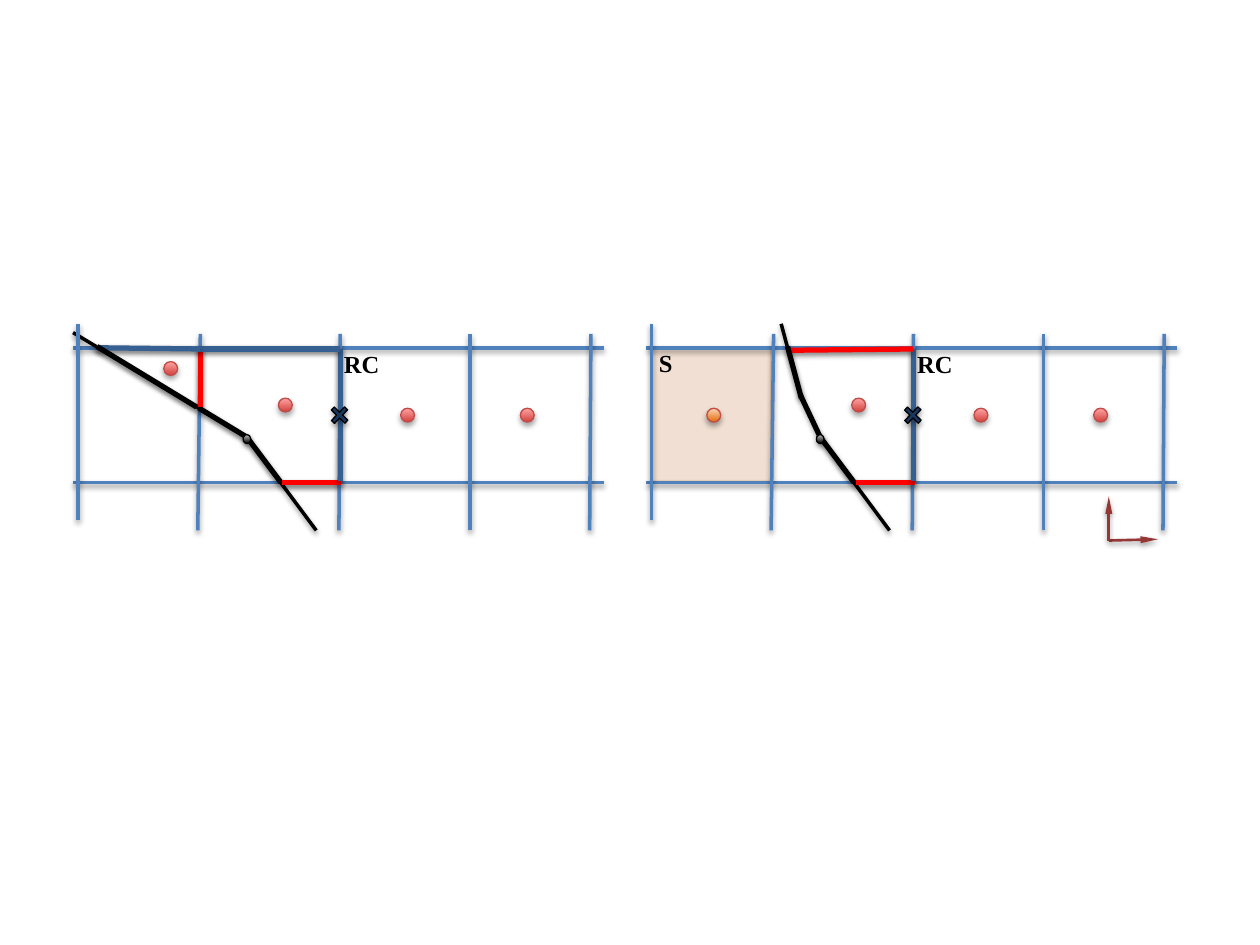
from lxml import etree
from pptx import Presentation
from pptx.dml.color import RGBColor
from pptx.enum import shapes, text
from pptx.oxml.ns import qn
from pptx.util import Inches, Pt

# Content: stroke styles as (colour, width)
STYLES = {
    "grid": ("4F81BD", 2),
    "interface": ("000000", 2),
    "cut": ("000000", 3),
    "open": ("FF0000", 3),
    "face": ("376092", 3),
    "axis": ("953735", 1.5),
}
RED = ("D1403C", "FFA6A5", 90)
BLACK = ("000000", "BDBDBD", 90)
ORANGE = ("E46C0A", "FCD5B5", 90)
PANEL_STEP = 4.55

# Strokes as (style, x1, y1, x2, y2), measured in the left panel
GRID = [("grid", 4.79, y, 0.58, y) for y in (2.76, 3.83)] + [
    ("grid", x1, 4.21, x2, 2.65)
    for x1, x2 in ((1.57, 1.59), (2.69, 2.7), (3.73, 3.73), (4.68, 4.69))
]
SHARED = [
    ("interface", 1.96, 3.47, 2.51, 4.21),
    ("grid", 0.62, 4.13, 0.62, 2.57),
    ("cut", 1.96, 3.47, 2.23, 3.83),
    ("open", 2.24, 3.83, 2.71, 3.83),
    ("face", 2.7, 3.82, 2.7, 2.77),
]
PANELS = [
    {
        "under": [("interface", 0.58, 2.64, 1.96, 3.47)],
        "over": [
            ("cut", 1.58, 3.24, 1.96, 3.47),
            ("open", 1.59, 2.76, 1.59, 3.23),
            ("face", 1.57, 2.77, 2.7, 2.77),
            ("face", 0.77, 2.76, 1.59, 2.77),
            ("cut", 0.77, 2.75, 1.56, 3.23),
        ],
        "dot": (1.3, 2.87, RED),
        "labels": [("RC", 2.73, 2.77, 0.3)],
    },
    {
        "under": [("interface", 1.65, 2.57, 1.8, 3.13)],
        "over": [
            ("cut", 1.8, 3.13, 1.96, 3.47),
            ("open", 1.72, 2.78, 2.7, 2.77),
            ("cut", 1.7, 2.75, 1.81, 3.16),
        ],
        "dot": (1.06, 3.24, ORANGE),
        "labels": [("RC", 2.73, 2.77, 0.3), ("S", 0.68, 2.76, 0.12)],
    },
]
CENTRES = [(2.21, 3.16), (3.18, 3.24), (4.13, 3.24)]
AXES = [("axis", 8.8, 4.29, 9.19, 4.28), ("axis", 8.8, 4.29, 8.8, 3.94)]


def rgb(value):
    return RGBColor.from_string(value)


def add_alpha(fill, percent):
    colour = fill._xPr.find(".//" + qn("a:srgbClr"))
    etree.SubElement(colour, qn("a:alpha"), val=str(percent * 1000))


def add_shadow(sp, distance, percent):
    effects = etree.SubElement(sp._element.spPr, qn("a:effectLst"))
    shadow = etree.SubElement(
        effects, qn("a:outerShdw"), blurRad=str(Pt(3.1)), dist=str(Pt(distance)),
        dir="5400000", rotWithShape="0")
    colour = etree.SubElement(shadow, qn("a:srgbClr"), val="000000")
    etree.SubElement(colour, qn("a:alpha"), val=str(percent * 1000))


def add_stroke(s, style, x1, y1, x2, y2, dx=0, arrow=False):
    colour, width = STYLES[style]
    line = s.shapes.add_connector(
        shapes.MSO_CONNECTOR.STRAIGHT,
        Inches(x1 + dx), Inches(y1), Inches(x2 + dx), Inches(y2))
    line.line.color.rgb = rgb(colour)
    line.line.width = Pt(width)
    if arrow:
        etree.SubElement(line.line._get_or_add_ln(), qn("a:tailEnd"),
                         type="triangle", w="sm", len="lg")
    add_shadow(line, 1.6, 38)


def add_mark(s, kind, x, y, w, h, fill, outline):
    sp = s.shapes.add_shape(kind, Inches(x), Inches(y), Inches(w), Inches(h))
    if isinstance(fill, tuple):
        start, end, angle = fill
        sp.fill.gradient()
        sp.fill.gradient_angle = angle
        for stop, colour, position in zip(sp.fill.gradient_stops, (start, end), (0, 1)):
            stop.color.rgb = rgb(colour)
            stop.position = position
    else:
        sp.fill.solid()
        sp.fill.fore_color.rgb = rgb(fill)
    sp.line.color.rgb = rgb(outline)
    sp.line.width = Pt(0.75)
    add_shadow(sp, 1.8, 35)
    return sp


def add_text(s, words, x, y, w, h=0.24, size=14, font="Times New Roman",
             colour="000000", bold=True):
    tf = s.shapes.add_textbox(Inches(x), Inches(y), Inches(w), Inches(h)).text_frame
    tf.margin_left = tf.margin_right = tf.margin_top = tf.margin_bottom = 0
    tf.word_wrap = False
    tf.auto_size = text.MSO_AUTO_SIZE.SHAPE_TO_FIT_TEXT
    r = tf.paragraphs[0].add_run()
    r.text = words
    r.font.size, r.font.name, r.font.bold = Pt(size), font, bold
    r.font.color.rgb = rgb(colour)


def add_panel(s, panel, dx):
    for stroke in GRID + panel["under"] + SHARED + panel["over"]:
        add_stroke(s, *stroke, dx=dx)

    # Cell centres, interface node and face marker
    oval = shapes.MSO_SHAPE.OVAL
    for x, y, fill in [(x, y, RED) for x, y in CENTRES] + [panel["dot"]]:
        add_mark(s, oval, x + dx, y, 0.11, 0.11, fill, "BF4C48")
    add_mark(s, oval, 1.93 + dx, 3.45, 0.06, 0.07, BLACK, "000000")
    cross = add_mark(s, shapes.MSO_SHAPE.CROSS, 2.62 + dx, 3.22, 0.15, 0.15,
                     "17375E", "000000")
    cross.adjustments[0] = 0.39
    cross.rotation = 43.8

    for words, x, y, w in panel["labels"]:
        add_text(s, words, x + dx, y, w)


def main():
    prs = Presentation()
    prs.slide_width, prs.slide_height = Inches(10), Inches(7.5)
    s = prs.slides.add_slide(prs.slide_layouts[6])

    # Shaded solid cell
    cell = add_mark(s, shapes.MSO_SHAPE.RECTANGLE, 5.17, 2.76, 0.95, 1.06,
                    "E46C0A", "E46C0A")
    add_alpha(cell.fill, 14)
    add_alpha(cell.line.fill, 25)

    # Coordinate axes
    for axis in AXES:
        add_stroke(s, *axis, arrow=True)

    # Two panels side by side
    for i, panel in enumerate(PANELS):
        add_panel(s, panel, i * PANEL_STEP)

    prs.save("out.pptx")


if __name__ == "__main__":
    main()
